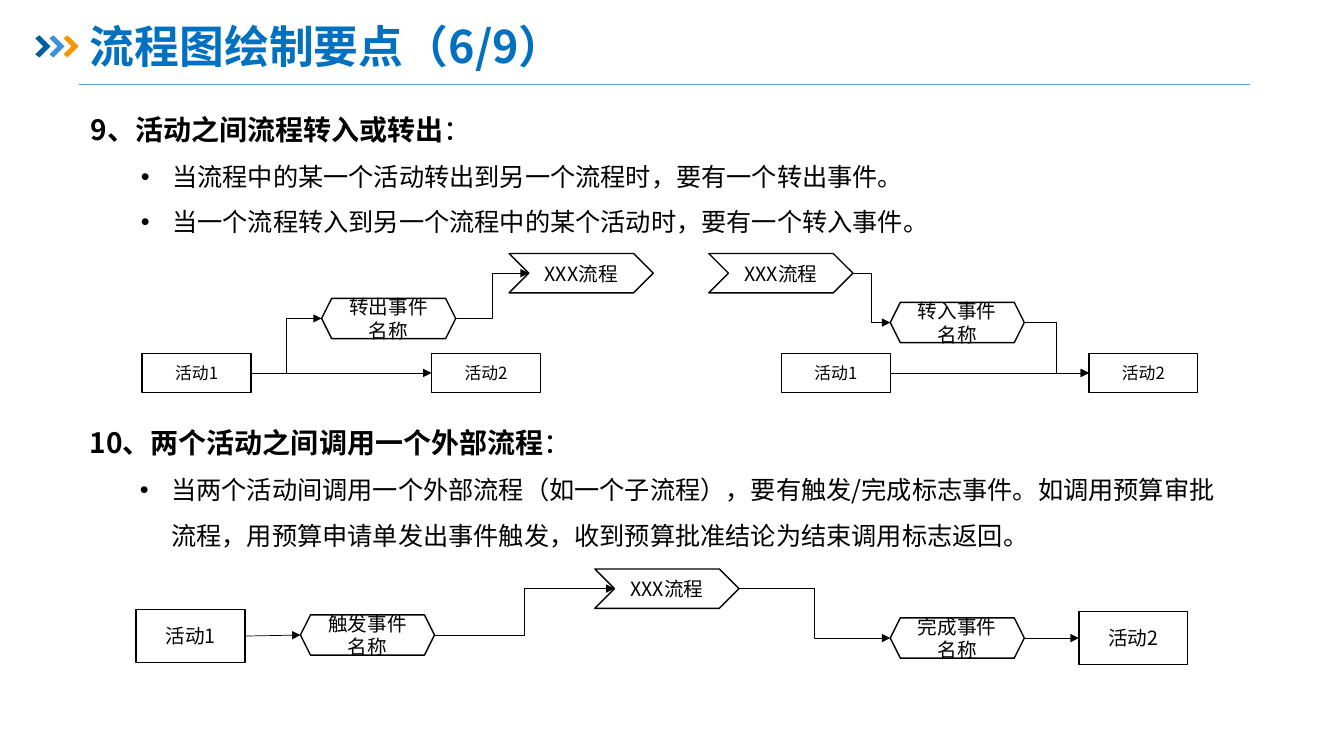
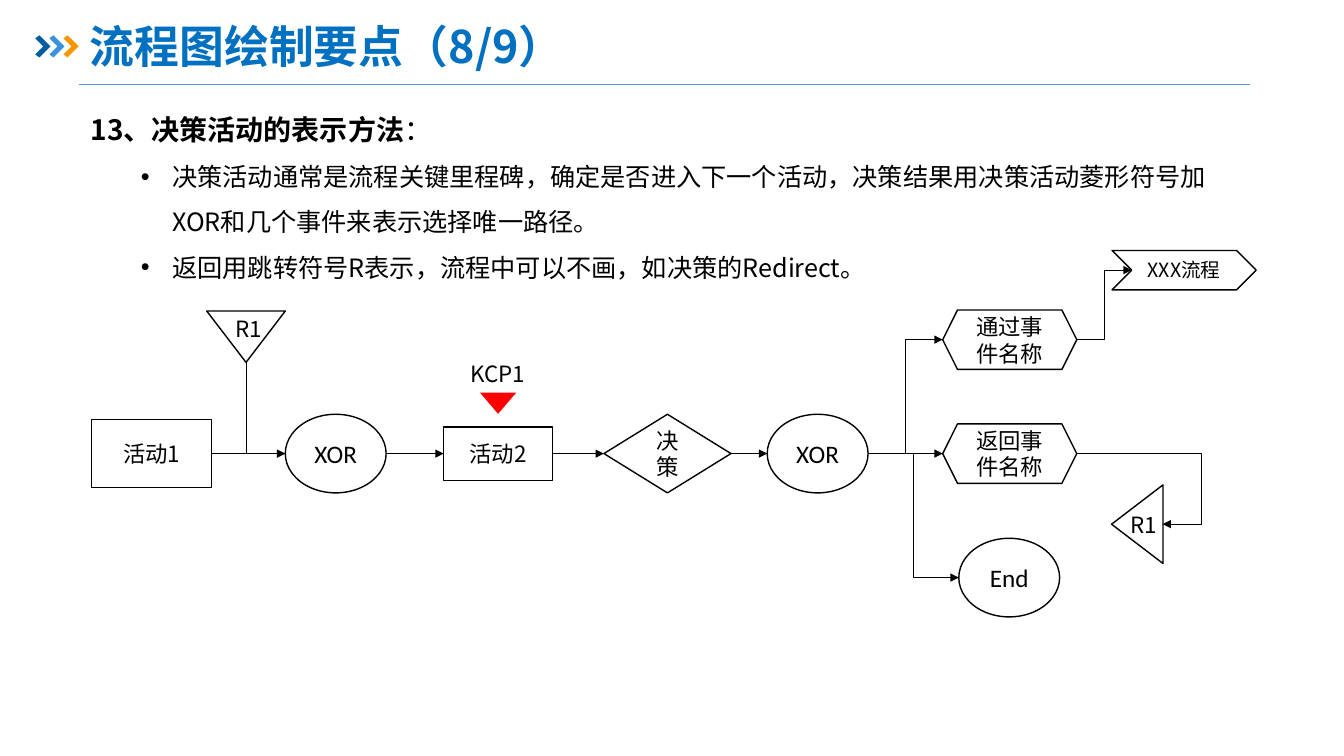
from dataclasses import dataclass

from lxml.etree import SubElement
from pptx import Presentation
from pptx.dml.color import RGBColor
from pptx.enum.shapes import MSO_CONNECTOR as Wire, MSO_SHAPE as Form
from pptx.enum.text import MSO_ANCHOR as Anchor, MSO_AUTO_SIZE as Fit, PP_ALIGN as Align
from pptx.oxml.ns import qn
from pptx.util import Inches, Pt


@dataclass(frozen=True)
class Theme:
    font: str = "Noto Sans CJK SC"
    latin: str = "Calibri"
    ink: str = "000000"
    paper: str = "FFFFFF"
    title: str = "0070C0"
    rule: str = "5B9BD5"
    alert: str = "FF0000"
    arrows: tuple = ("005DA2", "3992DB", "F79600")
    title_size: int = 32
    head_size: int = 20
    body_size: int = 18
    mark_size: int = 16
    edge: float = 1
    thin: float = 0.5


T = Theme()

# kind: form, width, height, type size, font
KINDS = {
    "step": (Form.FLOWCHART_PROCESS, 1.08, 0.39, 12, T.font),
    "task": (Form.FLOWCHART_PROCESS, 1.08, 0.53, 14, T.font),
    "work": (Form.FLOWCHART_PROCESS, 1.08, 0.53, 16, T.font),
    "start": (Form.FLOWCHART_PROCESS, 1.19, 0.67, 16, T.font),
    "event": (Form.HEXAGON, 1.33, 0.4, 14, T.font),
    "result": (Form.HEXAGON, 1.33, 0.59, 16, T.font),
    "flow": (Form.CHEVRON, 1.43, 0.39, 14, T.font),
    "gate": (Form.OVAL, 1, 0.78, 18, T.latin),
    "choice": (Form.DIAMOND, 1.26, 0.78, 16, T.font),
}
BOXES = ("step", "task", "work", "start")

# nodes: kind, left, middle height, text
# links: from the right of one node to the left of the next
SLIDES = [
    {
        "title": "流程图绘制要点（6/9）",
        "notes": [
            (0.8, 0.9, 1.51, "9、活动之间流程转入或转出", [
                "当流程中的某一个活动转出到另一个流程时，要有一个转出事件。",
                "当一个流程转入到另一个流程中的某个活动时，要有一个转入事件。"]),
            (0.79, 4.01, 1.51, "10、两个活动之间调用一个外部流程", [
                "当两个活动间调用一个外部流程（如一个子流程），要有触发/完成标志事件。"
                "如调用预算审批流程，用预算申请单发出事件触发，"
                "收到预算批准结论为结束调用标志返回。"]),
        ],
        "nodes": {
            "out1": ("step", 1.41, 3.7, "活动1"),
            "out2": ("step", 4.28, 3.7, "活动2"),
            "leave": ("event", 3.19, 3.16, "转出事件名称"),
            "target": ("flow", 5.05, 2.71, "XXX流程"),
            "source": ("flow", 7.03, 2.71, "XXX流程"),
            "enter": ("event", 8.83, 3.2, "转入事件名称"),
            "in1": ("step", 7.75, 3.7, "活动1"),
            "in2": ("step", 10.8, 3.7, "活动2"),
            "call1": ("task", 1.35, 6.31, "活动1"),
            "fire": ("event", 2.98, 6.3, "触发事件名称"),
            "sub": ("flow", 5.9, 5.84, "XXX流程"),
            "done": ("event", 8.83, 6.33, "完成事件名称"),
            "call2": ("task", 10.7, 6.33, "活动2"),
        },
        "links": [
            ("out1", "out2"), ("out1", "leave"), ("leave", "target"),
            ("source", "enter"), ("enter", "in2"), ("in1", "in2"),
            ("call1", "fire"), ("fire", "sub"), ("sub", "done"), ("done", "call2"),
        ],
    },
    {
        "title": "流程图绘制要点（8/9）",
        "notes": [
            (0.8, 0.9, 1.97, "13、决策活动的表示方法", [
                "决策活动通常是流程关键里程碑，确定是否进入下一个活动，"
                "决策结果用决策活动菱形符号加XOR和几个事件来表示选择唯一路径。",
                "返回用跳转符号R表示，流程中可以不画，如决策的Redirect。"]),
        ],
        "nodes": {
            "act1": ("start", 0.91, 4.5, "活动1"),
            "join": ("gate", 2.83, 4.5, "XOR"),
            "act2": ("work", 4.4, 4.5, "活动2"),
            "decide": ("choice", 5.99, 4.5, "决策"),
            "split": ("gate", 7.61, 4.5, "XOR"),
            "pass": ("result", 9.35, 3.37, "通过事件名称"),
            "back": ("result", 9.35, 4.5, "返回事件名称"),
            "end": ("gate", 9.51, 5.73, "End"),
            "next": ("flow", 11.03, 2.68, "XXX流程"),
        },
        "links": [
            ("act1", "join"), ("join", "act2"), ("act2", "decide"),
            ("decide", "split"), ("split", "pass"), ("split", "back"),
            ("split", "end"), ("pass", "next"),
        ],
        # centre x, centre y, width, height, turn, fill, outlined
        "marks": [
            (2.44, 3.34, 0.78, 0.51, 180, T.paper, True),
            (11.28, 5.2, 0.78, 0.51, 270, T.paper, True),
            (4.94, 4, 0.36, 0.21, 180, T.alert, False),
        ],
        "labels": [
            (3.83, 3.52, 2.22, "KCP1", Align.CENTER),
            (2.24, 3.08, 0.53, "R1", Align.LEFT),
            (11.11, 5.02, 0.53, "R1", Align.LEFT),
        ],
        # begin, end, arrowhead, bend
        "wires": [
            ((2.44, 3.59), (2.44, 4.5), False, None),
            ((10.68, 4.5), (11.53, 5.2), True, 1.45),
        ],
    },
]


def rgb(code):
    return RGBColor.from_string(code)


def style(run, size, color=T.ink, bold=False, face=T.font):
    font = run.font
    font.size, font.bold, font.name = Pt(size), bold, face
    font.color.rgb = rgb(color)
    props = run._r.get_or_add_rPr()
    props.set("lang", "zh-CN")
    SubElement(props, qn("a:ea")).set("typeface", T.font)


def place(shape, *box):
    shape.left, shape.top, shape.width, shape.height = map(Inches, box)


def paint(shape, fill, edge=True):
    shape.shadow.inherit = False
    shape.fill.solid()
    shape.fill.fore_color.rgb = rgb(fill)
    if edge:
        shape.line.color.rgb = rgb(T.ink)
        shape.line.width = Pt(T.edge)
    else:
        shape.line.fill.background()


def wire(slide, begin, end, arrow=True, bend=None, color=T.ink):
    """Draw a straight line, or an elbow where both directions change."""
    flat = min(abs(a - b) for a, b in zip(begin, end)) < 0.05
    kind = Wire.STRAIGHT if flat else Wire.ELBOW
    line = slide.shapes.add_connector(kind, *map(Inches, begin + end))
    line.line.color.rgb = rgb(color)
    line.line.width = Pt(T.thin)
    props = line.element.spPr
    if arrow:
        SubElement(line.line._get_or_add_ln(), qn("a:tailEnd")).set("type", "triangle")
    SubElement(props, qn("a:effectLst"))
    if bend:
        guide = SubElement(props.find(qn("a:prstGeom")).find(qn("a:avLst")), qn("a:gd"))
        guide.set("name", "adj1")
        guide.set("fmla", f"val {round(bend * 100000)}")
    return line


def node(slide, kind, left, mid, text):
    form, wide, high, size, face = KINDS[kind]
    shape = slide.shapes.add_shape(form, *map(Inches, (left, mid - high / 2, wide, high)))
    paint(shape, T.paper)
    frame = shape.text_frame
    frame.text, frame.word_wrap = text, True
    frame.vertical_anchor = Anchor.MIDDLE
    para = frame.paragraphs[0]
    para.alignment = Align.CENTER
    style(para.runs[0], size, face=face)
    return shape


def link(slide, nodes, shapes, first, last):
    kind, left, mid, _ = nodes[first]
    goal, x, y, _ = nodes[last]
    notch = KINDS[goal][2] / 2 if goal == "flow" else 0
    line = wire(slide, (left + KINDS[kind][1], mid), (x + notch, y))
    if abs(mid - y) < 0.05:
        if kind in BOXES:
            line.begin_connect(shapes[first], 3)
        if goal in BOXES:
            line.end_connect(shapes[last], 1)


def note(slide, left, top, high, head, points):
    box = slide.shapes.add_textbox(*map(Inches, (left, top, 11.4, high)))
    frame = box.text_frame
    frame.word_wrap = True
    para = frame.paragraphs[0]
    para.line_spacing = 1.5
    for text, bold in ((head, True), ("：", False)):
        run = para.add_run()
        run.text = text
        style(run, T.head_size, bold=bold)
    for point in points:
        para = frame.add_paragraph()
        para.text, para.level, para.line_spacing = point, 1, 1.5
        props = para._p.get_or_add_pPr()
        props.set("marL", str(Inches(0.81)))
        props.set("indent", str(Inches(-0.31)))
        SubElement(props, qn("a:buFont")).set("typeface", "Arial")
        SubElement(props, qn("a:buChar")).set("char", "•")
        style(para.runs[0], T.body_size)


def mark(slide, x, y, wide, high, turn, fill, edge):
    box = map(Inches, (x - wide / 2, y - high / 2, wide, high))
    shape = slide.shapes.add_shape(Form.ISOSCELES_TRIANGLE, *box)
    shape.rotation = turn
    paint(shape, fill, edge)


def label(slide, left, top, wide, text, align):
    box = slide.shapes.add_textbox(*map(Inches, (left, top, wide, 0.37)))
    frame = box.text_frame
    frame.text, frame.word_wrap = text, True
    frame.paragraphs[0].alignment = align
    style(frame.paragraphs[0].runs[0], T.mark_size)


def title(slide, text):
    shape = slide.shapes.title
    place(shape, 0.79, 0.19, 11.5, 0.59)
    frame = shape.text_frame
    frame.text, frame.word_wrap, frame.auto_size = text, True, Fit.NONE
    frame.vertical_anchor = Anchor.MIDDLE
    para = frame.paragraphs[0]
    para.alignment, para.line_spacing = Align.LEFT, 0.9
    style(para.runs[0], T.title_size, T.title, True)


def band(slide, layout):
    """Draw the rule and arrows once, then hand them to the layout."""
    for spot in list(layout.placeholders):
        if spot.placeholder_format.idx:
            spot.element.getparent().remove(spot.element)
    parts = [wire(slide, (0.78, 0.84), (12.4, 0.84), False, color=T.rule)]
    outline = [(0, 0.38), (0.04, 0.35), (0.15, 0.46), (0.04, 0.57), (0, 0.54), (0.08, 0.46)]
    for i, color in enumerate(T.arrows):
        dots = [(Inches(0.35 + 0.14 * i + x), Inches(y)) for x, y in outline]
        path = slide.shapes.build_freeform(*dots[0])
        path.add_line_segments(dots[1:], close=True)
        arrow = path.convert_to_shape()
        paint(arrow, color, False)
        parts.append(arrow)
    for part in parts:
        layout.shapes.element.append(part.element)


def main():
    deck = Presentation()
    deck.slide_width, deck.slide_height = Inches(13.33), Inches(7.5)
    layout = deck.slide_layouts[5]
    for i, data in enumerate(SLIDES):
        slide = deck.slides.add_slide(layout)
        if i == 0:
            band(slide, layout)
        title(slide, data["title"])
        for item in data["notes"]:
            note(slide, *item)
        nodes = data["nodes"]
        shapes = {name: node(slide, *item) for name, item in nodes.items()}
        for pair in data["links"]:
            link(slide, nodes, shapes, *pair)
        for key, draw in (("marks", mark), ("wires", wire), ("labels", label)):
            for item in data.get(key, []):
                draw(slide, *item)
    deck.save("out.pptx")


if __name__ == "__main__":
    main()
